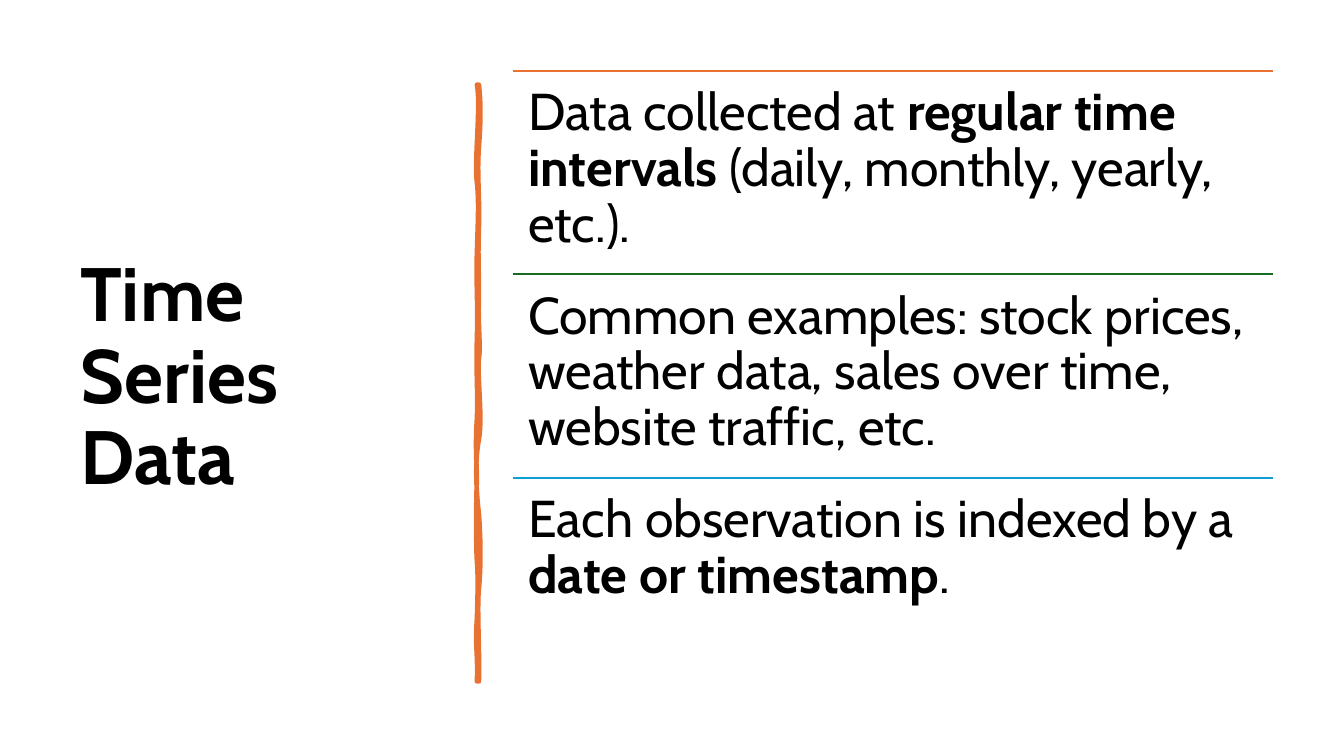
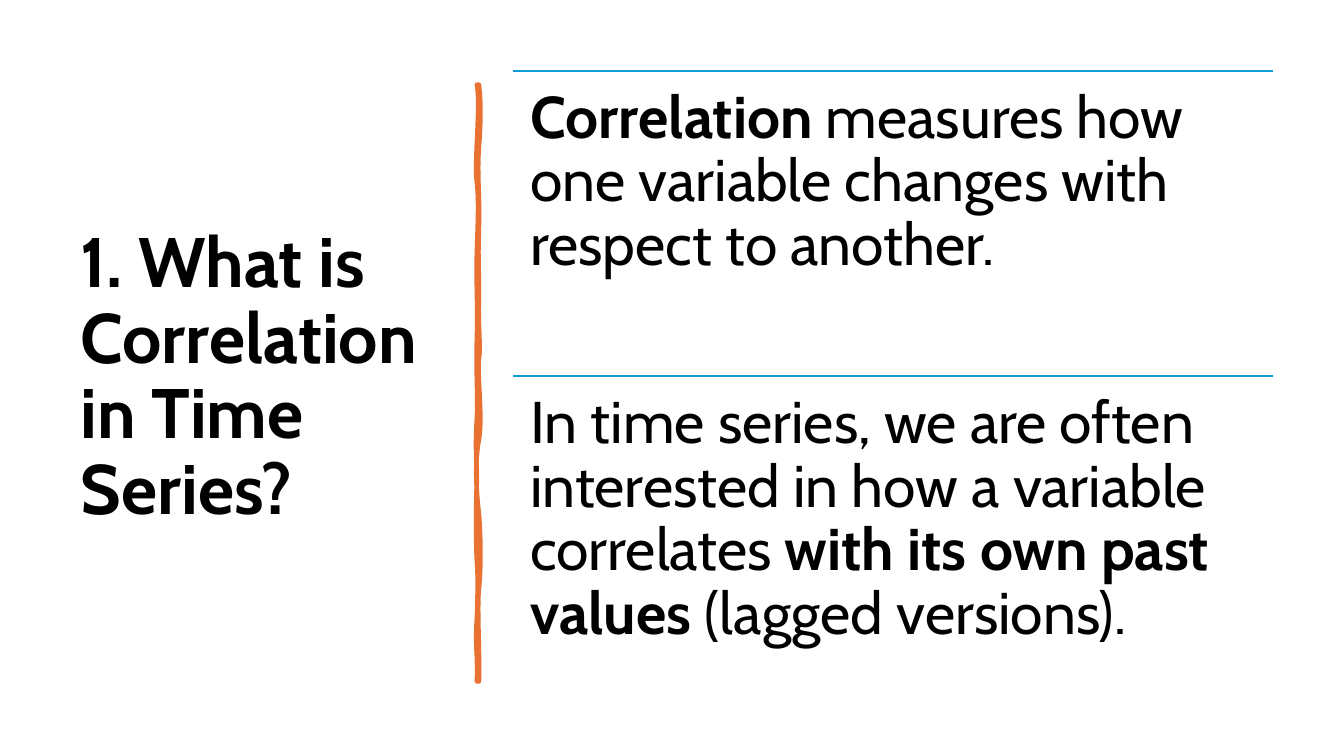
from lxml.etree import SubElement
from pptx import Presentation
from pptx.dml.color import RGBColor
from pptx.enum.shapes import MSO_CONNECTOR as Conn
from pptx.enum.text import MSO_ANCHOR as Anchor, MSO_AUTO_SIZE as Auto, PP_ALIGN as Align
from pptx.oxml.ns import qn
from pptx.util import Inches, Pt

COLORS = {"orange": "E97132", "green": "196B24", "blue": "0F9ED5", "text": "000000"}
FONT = "Cabin"
WIDTH, HEIGHT = 13.33, 7.5
TITLE_BOX = (0.7, 0.7, 3.74, 6.11)
LIST_LEFT, LIST_TOP, LIST_WIDTH, LIST_HEIGHT = 5.09, 0.7, 7.54, 6.06

SLIDES = [
    {
        "title": "Time Series Data", "title_size": 54, "size": 37, "inset": 0.15,
        "rows": [
            ("orange", [("Data collected at ", False), ("regular time intervals", True),
                        (" (daily, monthly, yearly, etc.).", False)]),
            ("green", [("Common examples: stock prices, weather data, sales over time, "
                        "website traffic, etc.", False)]),
            ("blue", [("Each observation is indexed by a ", False),
                      ("date or timestamp", True), (".", False)]),
        ],
    },
    {
        "title": "1. What is Correlation in Time Series?", "title_size": 50,
        "size": 42, "inset": 0.17,
        "rows": [
            ("blue", [("Correlation", True),
                      (" measures how one variable changes with respect to another.", False)]),
            ("blue", [("In time series, we are often interested in how a variable correlates ",
                       False),
                      ("with its own past values", True), (" (lagged versions).", False)]),
        ],
    },
]

STROKE_START = (4.75, 0.84)
STROKE_CURVES = [
    (4.77, 1.02, 4.77, 1.19, 4.75, 1.46), (4.73, 1.73, 4.76, 1.95, 4.75, 2.26),
    (4.74, 2.57, 4.75, 2.62, 4.75, 2.94), (4.74, 3.25, 4.77, 3.42, 4.75, 3.56),
    (4.73, 3.7, 4.79, 4.14, 4.75, 4.36), (4.71, 4.57, 4.72, 4.84, 4.75, 5.1),
    (4.77, 5.36, 4.77, 5.64, 4.75, 5.84), (4.73, 6.03, 4.76, 6.5, 4.75, 6.76),
    (4.74, 6.76, 4.73, 6.76, 4.73, 6.76), (4.74, 6.46, 4.71, 6.44, 4.73, 6.13),
    (4.74, 5.83, 4.74, 5.7, 4.73, 5.57), (4.72, 5.44, 4.72, 4.95, 4.73, 4.77),
    (4.73, 4.59, 4.71, 4.45, 4.73, 4.15), (4.74, 3.86, 4.72, 3.73, 4.73, 3.35),
    (4.74, 2.98, 4.72, 2.81, 4.73, 2.5), (4.74, 2.18, 4.75, 2, 4.73, 1.81),
    (4.7, 1.63, 4.77, 1.04, 4.73, 0.84),
]


def rgb(name):
    return RGBColor.from_string(COLORS[name])


def write(tf, runs, size):
    p = tf.paragraphs[0]
    p.alignment, p.line_spacing = Align.LEFT, 0.9
    for text, bold in runs:
        r = p.add_run()
        r.text = text
        r.font.name, r.font.size, r.font.bold = FONT, Pt(size), bold
        r.font.color.rgb = rgb("text")


def add_title(s, text, size):
    title = s.shapes.title
    title.left, title.top, title.width, title.height = map(Inches, TITLE_BOX)
    tf = title.text_frame
    tf.word_wrap, tf.auto_size, tf.vertical_anchor = True, Auto.NONE, Anchor.MIDDLE
    write(tf, [(text, True)], size)


def bend_segments(shape, curves):
    segments = list(shape._element.iter(qn("a:lnTo")))
    for segment, curve in zip(segments, curves):
        segment.tag = qn("a:cubicBezTo")
        segment.remove(segment[0])
        for x, y in zip(curve[::2], curve[1::2]):
            SubElement(segment, qn("a:pt"), x=str(Inches(x) - shape.left),
                       y=str(Inches(y) - shape.top))


def add_brush_stroke(s):
    builder = s.shapes.build_freeform(*map(Inches, STROKE_START))
    ends = [tuple(map(Inches, curve[-2:])) for curve in STROKE_CURVES]
    builder.add_line_segments(ends, close=True)
    stroke = builder.convert_to_shape()
    bend_segments(stroke, STROKE_CURVES)
    stroke.shadow.inherit = False
    stroke.fill.solid()
    stroke.fill.fore_color.rgb = stroke.line.color.rgb = rgb("orange")
    stroke.line.width = Pt(3.25)
    SubElement(stroke._element.spPr.find(qn("a:ln")), qn("a:round"))


def add_rule(s, top, color):
    y = Inches(top)
    rule = s.shapes.add_connector(Conn.STRAIGHT, Inches(LIST_LEFT), y,
                                  Inches(LIST_LEFT + LIST_WIDTH), y)
    rule.line.color.rgb, rule.line.width = rgb(color), Pt(1.5)
    SubElement(rule._element.spPr, qn("a:effectLst"))


def add_rows(s, rows, size, inset):
    height = LIST_HEIGHT / len(rows)
    for i, (color, runs) in enumerate(rows):
        top = LIST_TOP + i * height
        add_rule(s, top, color)
        box = s.shapes.add_textbox(*map(Inches, (LIST_LEFT, top, LIST_WIDTH, height)))
        tf = box.text_frame
        tf.word_wrap = True
        tf.margin_left = tf.margin_top = tf.margin_right = tf.margin_bottom = Inches(inset)
        write(tf, runs, size)


def main():
    """Build the slides on time series data and correlation."""
    prs = Presentation()
    prs.slide_width, prs.slide_height = Inches(WIDTH), Inches(HEIGHT)
    for content in SLIDES:
        s = prs.slides.add_slide(prs.slide_layouts[5])
        add_title(s, content["title"], content["title_size"])
        add_brush_stroke(s)
        add_rows(s, content["rows"], content["size"], content["inset"])
    prs.save("out.pptx")


if __name__ == "__main__":
    main()
